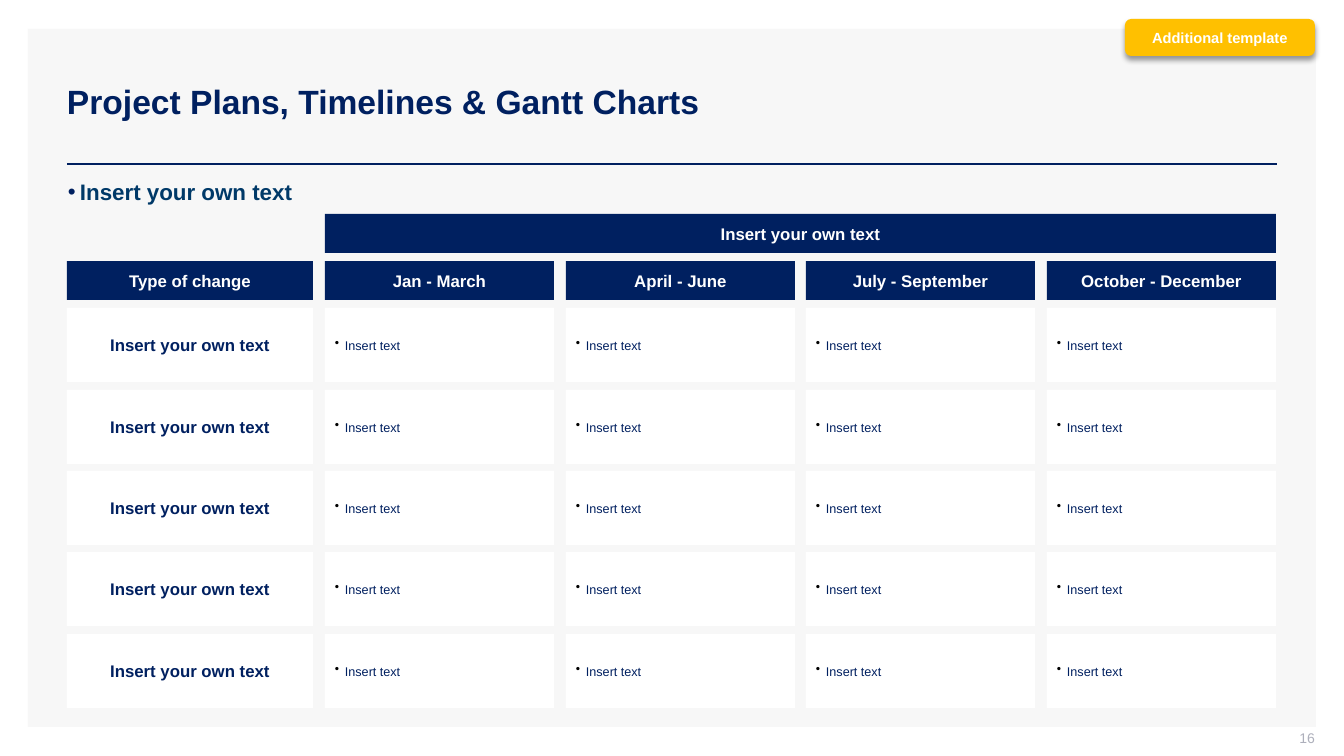
from lxml import etree
from pptx import Presentation
from pptx.dml.color import RGBColor
from pptx.enum.shapes import MSO_CONNECTOR, MSO_SHAPE
from pptx.enum.text import MSO_ANCHOR, MSO_AUTO_SIZE, PP_ALIGN
from pptx.oxml.ns import qn
from pptx.util import Pt

EMU_PER_PX = 914400 / 100.8
RECTANGLE, ROUNDED = MSO_SHAPE.RECTANGLE, MSO_SHAPE.ROUNDED_RECTANGLE
STRAIGHT = MSO_CONNECTOR.STRAIGHT
LEFT, CENTER, RIGHT = PP_ALIGN.LEFT, PP_ALIGN.CENTER, PP_ALIGN.RIGHT
TOP, MIDDLE = MSO_ANCHOR.TOP, MSO_ANCHOR.MIDDLE
NO_AUTOFIT = MSO_AUTO_SIZE.NONE

NAVY, WHITE, BLACK = "002060", "FFFFFF", "000000"
PANEL, AMBER, TEAL, GREY = "F7F7F7", "FFC000", "003968", "ADAFBB"
CELL_INSETS = (10, 5, 10, 5)

OWN_TEXT = "Insert your own text"
QUARTERS = ["Jan - March", "April - June", "July - September", "October - December"]
ROWS = 5
LABEL_LEFT, LABEL_WIDTH = 67, 246
GRID_LEFT, GRID_RIGHT, QUARTER_WIDTH = 325, 1276, 229
GRID_TOP, GRID_BOTTOM, ROW_HEIGHT = 308, 708, 74
HEADER_TOP, HEADER_HEIGHT = 261, 39


def px(length):
    return round(length * EMU_PER_PX)


def color(hex_string):
    return RGBColor.from_string(hex_string)


def spread(first, last, count):
    """Return count evenly spaced whole positions from first to last."""
    return [round(first + i * (last - first) / (count - 1)) for i in range(count)]


class SlideBuilder:
    font_name = "Arial"

    def __init__(self, deck):
        self.page = deck.slides.add_slide(deck.slide_layouts[1])

    def set_text(self, shape, text, size, ink, bold=False, align=CENTER, anchor=MIDDLE,
                 insets=CELL_INSETS, bullet=None, indent=0, line_spacing=None):
        frame = shape.text_frame
        frame.word_wrap = True
        frame.auto_size = NO_AUTOFIT
        frame.vertical_anchor = anchor
        (frame.margin_left, frame.margin_top,
         frame.margin_right, frame.margin_bottom) = map(px, insets)
        para = frame.paragraphs[0]
        para.text = text
        para.alignment = align
        para.space_before = Pt(0)
        para.line_spacing = line_spacing
        if bullet:
            self.add_bullet(para, bullet, indent)
        font = para.font
        font.name, font.size, font.bold = self.font_name, Pt(size), bold
        font.color.rgb = color(ink)

    def add_bullet(self, para, ink, indent):
        properties = para._p.get_or_add_pPr()
        properties.set("marL", str(px(indent)))
        properties.set("indent", str(-px(indent)))
        tint = etree.SubElement(properties, qn("a:buClr"))
        etree.SubElement(tint, qn("a:srgbClr"), val=ink)
        etree.SubElement(properties, qn("a:buChar"), char="•")

    def placeholder(self, index, left, top, width, height, text, size, ink, **style):
        holder = self.page.placeholders[index]
        holder.left, holder.top = px(left), px(top)
        holder.width, holder.height = px(width), px(height)
        self.set_text(holder, text, size, ink, bold=True, align=LEFT, **style)

    def box(self, left, top, width, height, fill, kind=RECTANGLE):
        shape = self.page.shapes.add_shape(kind, px(left), px(top), px(width), px(height))
        shape.shadow.inherit = False
        shape.fill.solid()
        shape.fill.fore_color.rgb = color(fill)
        shape.line.fill.background()
        return shape

    def panel(self, left, top, width, height, fill):
        """Add a box behind everything else, placeholders included."""
        shape = self.box(left, top, width, height, fill)
        self.page.shapes.element.insert(2, shape.element)

    def header(self, left, top, width, text):
        self.set_text(self.box(left, top, width, HEADER_HEIGHT, NAVY), text, 12, WHITE, bold=True)

    def rule(self, left, right, top, ink, weight):
        line = self.page.shapes.add_connector(STRAIGHT, px(left), px(top), px(right), px(top))
        line.line.color.rgb = color(ink)
        line.line.width = Pt(weight)
        etree.SubElement(line.element.spPr, qn("a:effectLst"))

    def page_number(self, left, top, width, height, text):
        number = self.page.shapes.add_textbox(px(left), px(top), px(width), px(height))
        self.set_text(number, text, 10, GREY, align=RIGHT, insets=(10, 0, 0, 5))

    def tag(self, left, top, width, height, text):
        """Add a rounded label with a soft shadow below it."""
        shape = self.box(left, top, width, height, AMBER, ROUNDED)
        effects = shape.element.spPr.find(qn("a:effectLst"))
        shadow = etree.SubElement(effects, qn("a:outerShdw"), blurRad=str(Pt(4)),
                                  dist=str(Pt(3)), dir="5400000", rotWithShape="0")
        tint = etree.SubElement(shadow, qn("a:srgbClr"), val=BLACK)
        etree.SubElement(tint, qn("a:alpha"), val="40000")
        self.set_text(shape, text, 10.5, WHITE, bold=True)


def main():
    deck = Presentation()
    deck.slide_width, deck.slide_height = px(1344), px(756)
    slide = SlideBuilder(deck)

    slide.panel(28, 29, 1288, 698, PANEL)
    slide.rule(67, 1277, 164, NAVY, 2)
    slide.placeholder(0, 57, 41, 1220, 120, "Project Plans, Timelines & Gantt Charts", 24, NAVY)
    slide.placeholder(1, 68, 181, 1210, 24, OWN_TEXT, 16, TEAL, anchor=TOP,
                      insets=(0, 0, 0, 0), bullet=NAVY, indent=12, line_spacing=0.9)
    slide.page_number(1012, 730, 303, 21, "16")

    slide.header(GRID_LEFT, 214, GRID_RIGHT - GRID_LEFT, OWN_TEXT)
    slide.header(LABEL_LEFT, HEADER_TOP, LABEL_WIDTH, "Type of change")
    quarter_lefts = spread(GRID_LEFT, GRID_RIGHT - QUARTER_WIDTH, len(QUARTERS))
    for left, quarter in zip(quarter_lefts, QUARTERS):
        slide.header(left, HEADER_TOP, QUARTER_WIDTH, quarter)

    for top in spread(GRID_TOP, GRID_BOTTOM - ROW_HEIGHT, ROWS):
        label = slide.box(LABEL_LEFT, top, LABEL_WIDTH, ROW_HEIGHT, WHITE)
        slide.set_text(label, OWN_TEXT, 12, NAVY, bold=True)
        for left in quarter_lefts:
            cell = slide.box(left, top, QUARTER_WIDTH, ROW_HEIGHT, WHITE)
            slide.set_text(cell, "Insert text", 9, NAVY, align=LEFT, bullet=BLACK, indent=10)

    slide.tag(1125, 19, 190, 37, "Additional template")
    deck.save("out.pptx")


if __name__ == "__main__":
    main()
